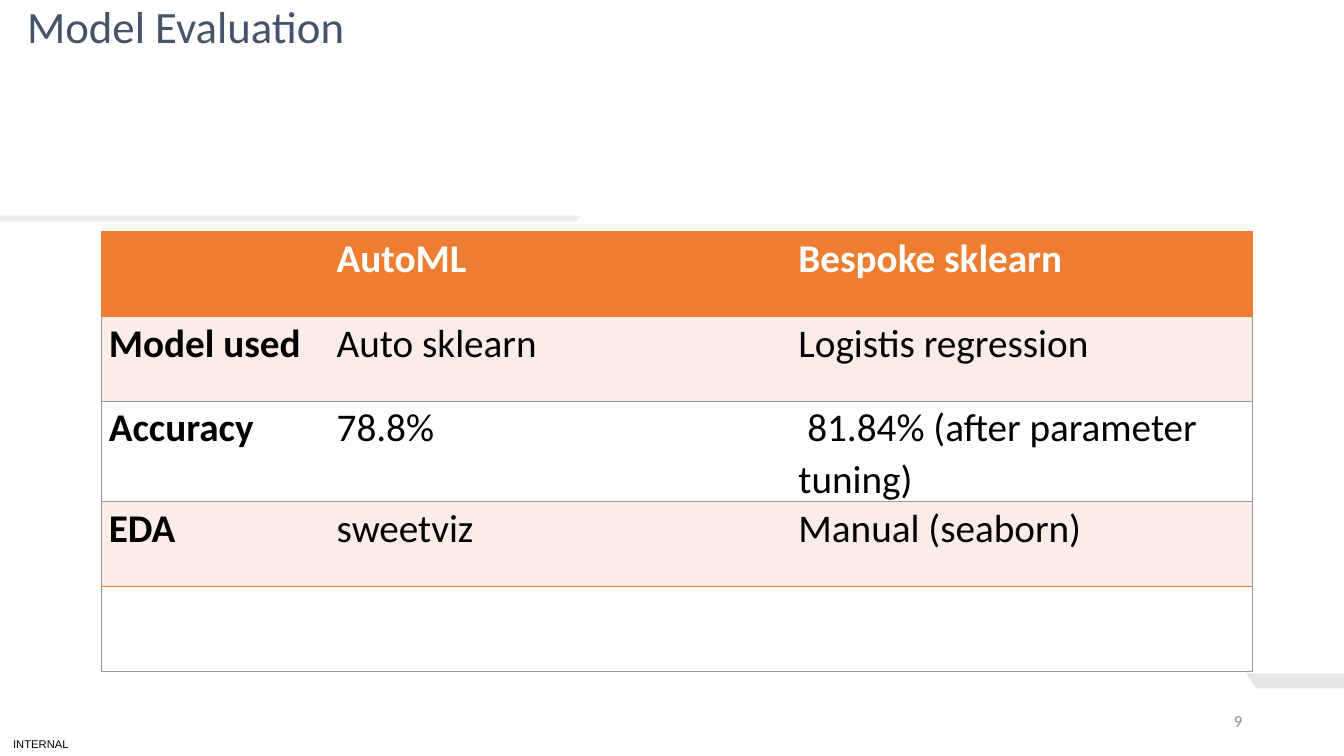
from lxml import etree
from pptx import Presentation
from pptx import util as u
from pptx.dml import color
from pptx.enum import text as t
from pptx.oxml import ns

ORANGE, GRAY = "ED7D31", "999999"
ROWS = [
    ("", "AutoML", "Bespoke sklearn"),
    ("Model used", "Auto sklearn", "Logistis regression"),
    ("Accuracy", "78.8%", "\u00a081.84% (after parameter tuning)"),
    ("EDA", "sweetviz", "Manual (seaborn)"),
    ("", "", ""),
]
FILLS = [ORANGE, "FCECE8", "FFFFFF", "FCECE8", "FFFFFF"]
RULES = [ORANGE, ORANGE, GRAY, GRAY, ORANGE, GRAY]


def rgb(code):
    """Turn a hex string into a colour."""
    return color.RGBColor.from_string(code)


def setall(item, values):
    """Set each attribute named in a dict."""
    for name, value in values.items():
        setattr(item, name, value)


def write(frame, words, size, code, font="Calibri", bold=False, **para):
    """Write one formatted paragraph into a text frame."""
    line = frame.paragraphs[0]
    setall(line, para)
    run = line.add_run()
    run.text = words
    setall(run.font, dict(size=u.Pt(size), name=font, bold=bold))
    run.font.color.rgb = rgb(code)


def label(slide, box, words, size, code, inset=None, anchor="TOP", **form):
    """Place a text box with one line of text."""
    frame = slide.shapes.add_textbox(*map(u.Inches, box)).text_frame
    setall(frame, dict(word_wrap=True, vertical_anchor=t.MSO_ANCHOR[anchor]))
    if inset is not None:
        sides = ("left", "right", "top", "bottom")
        setall(frame, {f"margin_{side}": u.Inches(inset) for side in sides})
    write(frame, words, size, code, **form)


def bar(slide, box, slant, code, alpha=None):
    """Draw a bar with one slanted end, left or right by the sign of slant."""
    x, y, w, h = box
    low = x + max(slant, 0)
    end = x + w + min(slant, 0)
    spots = [(x, y), (x + w, y), (end, y + h), (low, y + h)]
    spots = [tuple(map(u.Inches, spot)) for spot in spots]
    pen = slide.shapes.build_freeform(*spots[0])
    pen.add_line_segments(spots[1:], close=True)
    shape = pen.convert_to_shape()
    shape.shadow.inherit = False
    shape.line.fill.background()
    shape.fill.solid()
    shape.fill.fore_color.rgb = rgb(code)
    if alpha:
        tone = shape.fill._xPr.find(".//" + ns.qn("a:srgbClr"))
        etree.SubElement(tone, ns.qn("a:alpha"), val=str(alpha * 1000))


def edge(cell, side, code):
    """Add a cell border, or an empty one when no colour is given."""
    props = cell._tc.get_or_add_tcPr()
    line = etree.SubElement(props, ns.qn("a:ln" + side), w=str(u.Pt(0.75)))
    fill = etree.SubElement(line, ns.qn("a:solidFill" if code else "a:noFill"))
    if code:
        etree.SubElement(fill, ns.qn("a:srgbClr"), val=code)


def grid(slide, box, widths):
    """Build the table that compares the models."""
    shape = slide.shapes.add_table(len(ROWS), len(widths), *map(u.Inches, box))
    table = shape.table
    table.horz_banding = False
    for col, width in zip(table.columns, widths):
        col.width = u.Inches(width)
    pads = dict(margin_left=u.Inches(0.07), margin_right=u.Inches(0.07),
                margin_top=0, margin_bottom=0)
    for r, row in enumerate(ROWS):
        for c, words in enumerate(row):
            cell = table.cell(r, c)
            setall(cell, pads)
            side = ORANGE if r == 0 else GRAY
            edge(cell, "L", side if c == 0 else None)
            edge(cell, "R", side if c == len(row) - 1 else None)
            edge(cell, "T", RULES[r])
            edge(cell, "B", RULES[r + 1])
            cell.fill.solid()
            cell.fill.fore_color.rgb = rgb(FILLS[r])
            if words:
                write(cell.text_frame, words, 28, "000000" if r else "FFFFFF",
                      bold=r == 0 or c == 0, line_spacing=1.07)


def build(deck):
    """Lay out the model evaluation slide."""
    slide = deck.slides.add_slide(deck.slide_layouts[6])
    label(slide, (0.13, 7.26, 0.68, 0.24), "INTERNAL", 8, "000000",
          inset=0, anchor="MIDDLE", font="Arial")
    bar(slide, (12.36, 6.68, 0.98, 0.15), 0.1, "E7E6E6")
    bar(slide, (0, 2.14, 5.76, 0.06), -0.05, "E7E6E6", 70)
    label(slide, (9.42, 6.95, 3, 0.4), "9", 12, "8C8C8C",
          anchor="MIDDLE", alignment=t.PP_ALIGN.RIGHT)
    label(slide, (0.17, 0, 4.84, 0.82), "Model Evaluation", 32, "44546A",
          line_spacing=0.9)
    grid(slide, (1.01, 2.3, 11.41, 4.2), (2.26, 4.58, 4.57))


deck = Presentation()
setall(deck, dict(slide_width=u.Inches(13.33), slide_height=u.Inches(7.5)))
build(deck)
deck.save("out.pptx")
